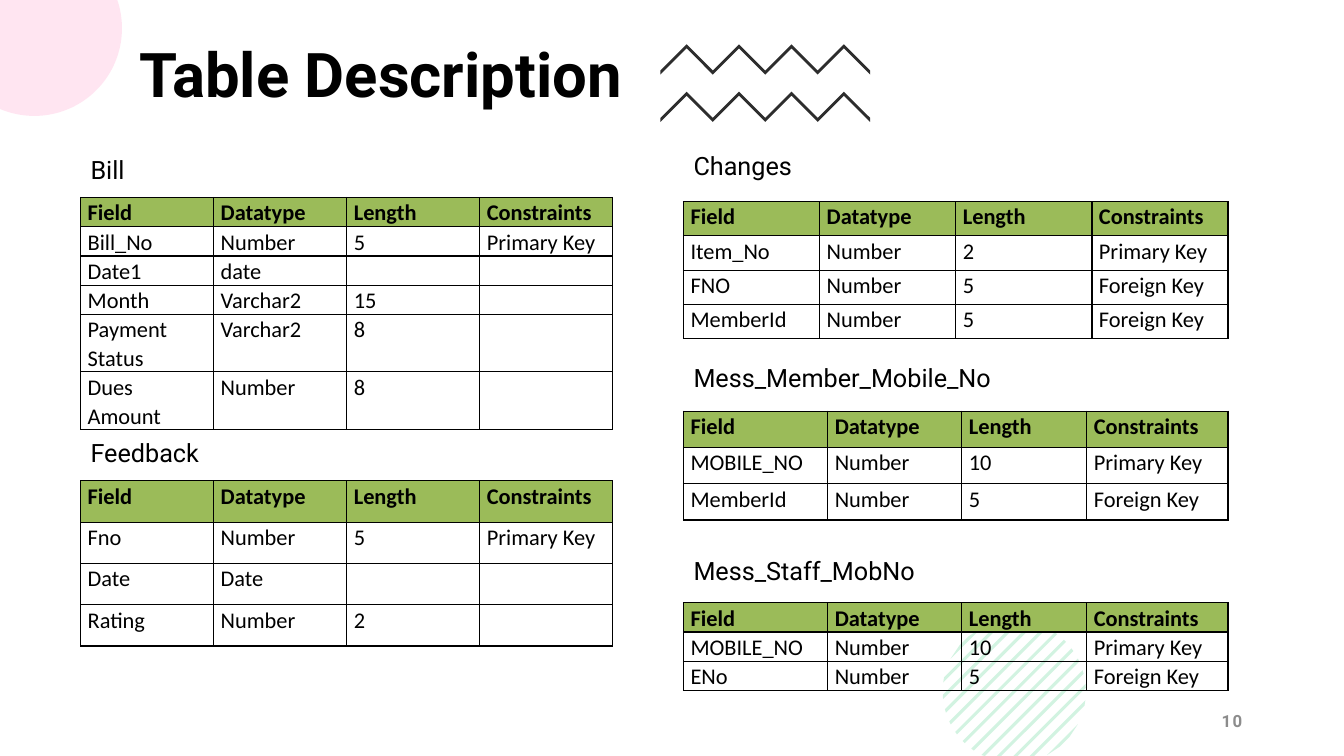
import math
from lxml import etree
from pptx import Presentation
from pptx import util as u
from pptx.dml.color import RGBColor
from pptx.enum import text
from pptx.oxml.ns import qn

COLORS = {"ink": "000000", "header": "9BBB59", "zigzag": "2D2D2D",
          "stripe": "21C46B", "corner": "FF80BD", "number": "8C8C8C"}
WIDTH, HEIGHT = 13.33, 7.5
LEFT, RIGHT = 0.8, 6.78
LABEL_HEIGHT = 0.4
HEADINGS = ("Field", "Datatype", "Length", "Constraints")
LEFT_COLUMNS = (1.32,) * 4
EVEN_COLUMNS = (1.35,) * 4
MOBILE_COLUMNS = (1.43, 1.33, 1.24, 1.4)

SECTIONS = [
    ("Bill", (LEFT, 1.48), 1.96, LEFT_COLUMNS, 0.29, [
        ("Bill_No", "Number", "5", "Primary Key"),
        ("Date1", "date", "", ""),
        ("Month", "Varchar2", "15", ""),
        ("Payment Status", "Varchar2", "8", ""),
        ("Dues Amount", "Number", "8", "")]),
    ("Feedback", (LEFT, 4.29), 4.77, LEFT_COLUMNS, 0.41, [
        ("Fno", "Number", "5", "Primary Key"),
        ("Date", "Date", "", ""),
        ("Rating", "Number", "2", "")]),
    ("Changes", (RIGHT, 1.44), 2.0, EVEN_COLUMNS, 0.34, [
        ("Item_No", "Number", "2", "Primary Key"),
        ("FNO", "Number", "5", "Foreign Key"),
        ("MemberId", "Number", "5", "Foreign Key")]),
    ("Mess_Member_Mobile_No", (RIGHT, 3.55), 4.08, MOBILE_COLUMNS, 0.36, [
        ("MOBILE_NO", "Number", "10", "Primary Key"),
        ("MemberId", "Number", "5", "Foreign Key")]),
    ("Mess_Staff_MobNo", (RIGHT, 5.46), 5.98, MOBILE_COLUMNS, 0.29, [
        ("MOBILE_NO", "Number", "10", "Primary Key"),
        ("ENo", "Number", "5", "Foreign Key")]),
]


def style_font(font, name, size, color, bold=False):
    """Set the face, size, colour and weight of a font."""
    font.name, font.size, font.bold = name, u.Pt(size), bold
    font.color.rgb = RGBColor.from_string(COLORS[color])


def add_outline(shapes, points, color, opacity=100):
    """Draw a closed, filled polygon through points given in inches."""
    start, *rest = [(u.Inches(x), u.Inches(y)) for x, y in points]
    builder = shapes.build_freeform(*start)
    builder.add_line_segments(rest, close=True)
    outline = builder.convert_to_shape()
    outline.shadow.inherit = False
    outline.line.fill.background()
    outline.fill.solid()
    outline.fill.fore_color.rgb = RGBColor.from_string(COLORS[color])
    if opacity < 100:
        shade = outline.fill._xPr.find(".//" + qn("a:srgbClr"))
        etree.SubElement(shade, qn("a:alpha"), val=str(opacity * 1000))


def add_striped_disc(page, center_x, center_y, radius):
    """Fill a disc with diagonal stripes, cut at the slide's lower edge."""
    group = page.shapes.add_group_shape()
    pitch, half_width = 0.163, 0.022
    for index in range(-6, 7):
        upper, lower = [], []
        for edge in (-half_width, half_width):
            shift = (index * pitch + edge) / 2
            reach = math.sqrt(max(0, radius ** 2 / 2 - shift ** 2))
            drop = min(reach, HEIGHT - center_y - shift)
            upper.append((center_x + shift + reach, center_y + shift - reach))
            lower.append((center_x + shift - drop, center_y + shift + drop))
        add_outline(group.shapes, upper + lower[::-1], "stripe", 20)


def add_corner_disc(page, center_x, center_y, radius):
    """Draw the part of a disc that lies inside the top left corner."""
    first = -math.asin(center_y / radius)
    last = math.pi - math.acos(center_x / radius)
    steps = 60
    angles = [first + (last - first) * step / steps for step in range(steps + 1)]
    arc = [(center_x + radius * math.cos(angle), center_y + radius * math.sin(angle))
           for angle in angles]
    add_outline(page.shapes, [(0, 0)] + arc, "corner", 20)


def add_zigzags(page, left, top):
    """Draw two zigzag bands, one above the other."""
    group = page.shapes.add_group_shape()
    step, thickness, spacing = 0.26, 0.04, 0.47
    for band in range(2):
        ridge = [(left + step * index, top + band * spacing + step * (index % 2 == 0))
                 for index in range(9)]
        base = [(x, y + thickness) for x, y in reversed(ridge)]
        add_outline(group.shapes, ridge + base, "zigzag")


def add_title(page, wording, left, top, width, height):
    """Place and format the title placeholder."""
    title = page.shapes.title
    title.left, title.top = u.Inches(left), u.Inches(top)
    title.width, title.height = u.Inches(width), u.Inches(height)
    frame = title.text_frame
    frame.text = wording
    frame.vertical_anchor = text.MSO_ANCHOR.TOP
    para = frame.paragraphs[0]
    para.alignment = text.PP_ALIGN.LEFT
    para.line_spacing = 0.9
    style_font(para.font, "Roboto", 44, "ink", True)


def add_text(page, wording, left, top, width):
    """Add a one-line text box and return its frame."""
    box = page.shapes.add_textbox(u.Inches(left), u.Inches(top),
                                  u.Inches(width), u.Inches(LABEL_HEIGHT))
    frame = box.text_frame
    frame.word_wrap = True
    frame.text = wording
    return frame


def add_page_number(page, number, left, top, width):
    """Write the page number at the right of its box."""
    frame = add_text(page, number, left, top, width)
    frame.vertical_anchor = text.MSO_ANCHOR.MIDDLE
    para = frame.paragraphs[0]
    para.alignment = text.PP_ALIGN.RIGHT
    style_font(para.font, "Roboto", 12, "number", True)
    para.runs[0]._r.get_or_add_rPr().set("spc", "100")


def add_borders(cell):
    """Give a cell thin lines on its four sides."""
    properties = cell._tc.get_or_add_tcPr()
    for position, side in enumerate(("lnL", "lnR", "lnT", "lnB")):
        line = etree.Element(qn("a:" + side), w=str(u.Pt(1)))
        fill = etree.SubElement(line, qn("a:solidFill"))
        etree.SubElement(fill, qn("a:srgbClr"), val=COLORS["ink"])
        properties.insert(position, line)


def fill_cell(cell, wording, heading):
    """Write and format one table cell."""
    cell.text = wording
    cell.margin_left = cell.margin_right = u.Inches(0.07)
    cell.margin_top = cell.margin_bottom = 0
    if heading:
        cell.fill.solid()
        cell.fill.fore_color.rgb = RGBColor.from_string(COLORS["header"])
    else:
        cell.fill.background()
    para = cell.text_frame.paragraphs[0]
    para.line_spacing, para.space_after = 1.07, u.Pt(8)
    style_font(para.font, "Calibri", 16, "ink", heading)
    if not wording:
        etree.SubElement(para._p, qn("a:endParaRPr"), sz="1600")
    add_borders(cell)


def add_section(page, name, corner, table_top, columns, row_height, records):
    """Add a label and the table that it names."""
    left, top = corner
    label = add_text(page, name, left, top, sum(columns) * 0.7)
    style_font(label.paragraphs[0].font, "Roboto", 18, "ink")
    rows = [HEADINGS] + records
    frame = page.shapes.add_table(
        len(rows), len(columns), u.Inches(left), u.Inches(table_top),
        u.Inches(sum(columns)), u.Inches(row_height * len(rows)))
    table = frame.table
    table.first_row = table.horz_banding = False
    for column, width in zip(table.columns, columns):
        column.width = u.Inches(width)
    for row_index, row in enumerate(rows):
        for column_index, wording in enumerate(row):
            fill_cell(table.cell(row_index, column_index), wording, row_index == 0)


def main():
    """Build the table description slide."""
    deck = Presentation()
    deck.slide_width, deck.slide_height = u.Inches(WIDTH), u.Inches(HEIGHT)
    page = deck.slides.add_slide(deck.slide_layouts[5])
    add_striped_disc(page, 10.06, 6.86, 0.71)
    add_corner_disc(page, 0.34, 0.28, 0.87)
    add_zigzags(page, 6.55, 0.44)
    add_title(page, "Table Description", 1.28, 0.39, 5.27, 1.56)
    add_page_number(page, "10", 9.42, 6.95, 3)
    for section in SECTIONS:
        add_section(page, *section)
    deck.save("out.pptx")


if __name__ == "__main__":
    main()
